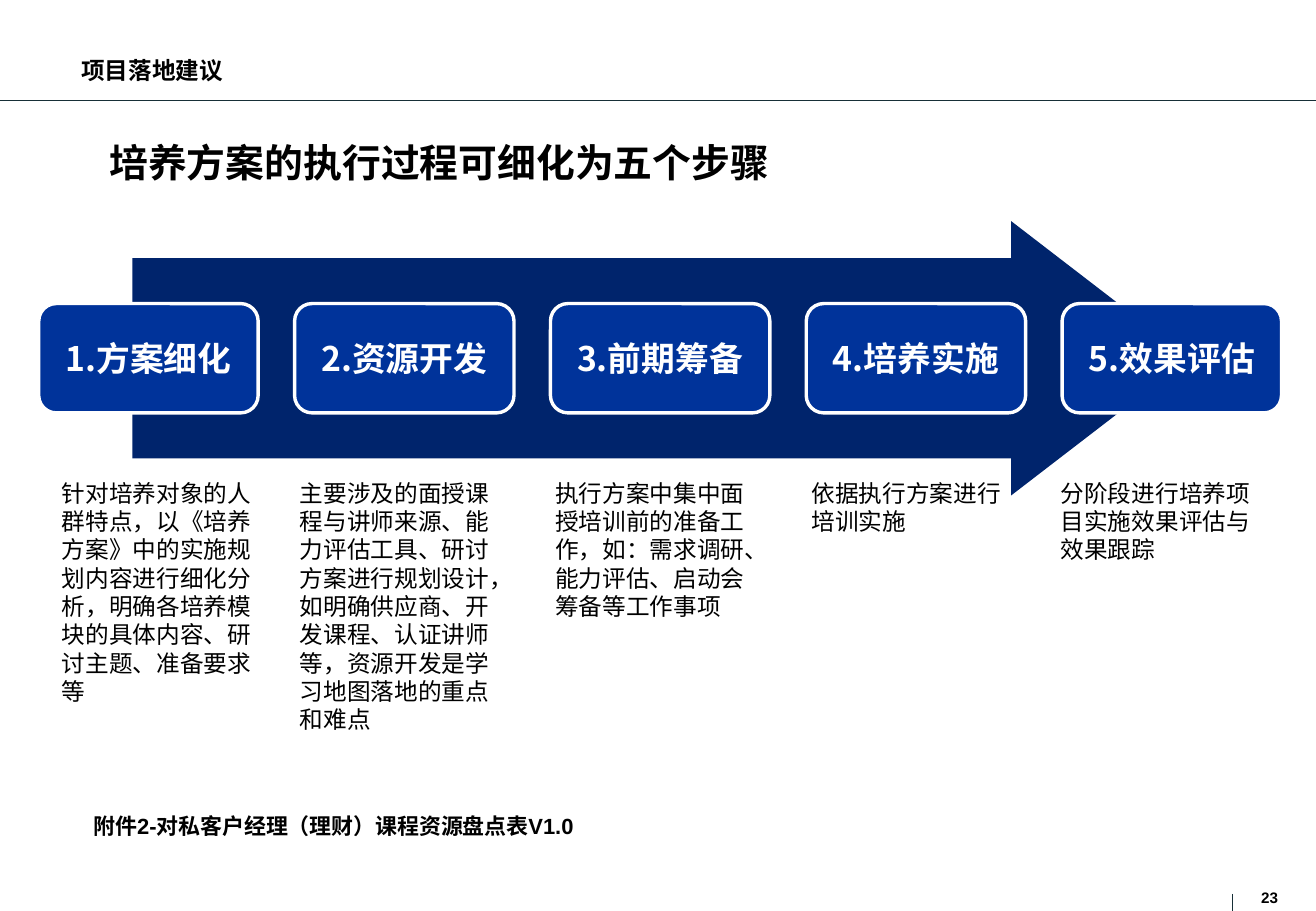
from dataclasses import dataclass

from lxml.etree import SubElement
from pptx import Presentation
from pptx.dml.color import RGBColor
from pptx.enum.shapes import MSO_CONNECTOR as Connector, MSO_SHAPE as Preset
from pptx.enum.text import MSO_ANCHOR as Anchor, PP_ALIGN as Align
from pptx.oxml.ns import qn
from pptx.slide import Slide
from pptx.util import Inches, Pt

SLIDE_WIDTH = Inches(10.83)
SLIDE_HEIGHT = Inches(7.5)
CJK_FONT = "Noto Sans CJK SC"
BLACK, WHITE = "000000", "FFFFFF"
NAVY, BLUE, RULE_COLOR = "00246C", "00339A", "172F37"

STEP_LEFT, STEP_TOP = 2.95, 33.33
STEP_PITCH, STEP_WIDTH, STEP_HEIGHT = 19.44, 16.67, 12
DETAIL_TOP, DETAIL_WIDTH = 51.87, 17.73
DETAIL_LINE, DETAIL_PADDING = 3.13, 1.33


@dataclass(frozen=True)
class Area:
    """Left, top, width and height in percent of the slide."""

    left: float
    top: float
    width: float
    height: float

    def lengths(self) -> tuple[int, int, int, int]:
        return across(self.left), down(self.top), across(self.width), down(self.height)


@dataclass(frozen=True)
class Style:
    size: float
    color: str = BLACK
    bold: bool = True
    latin: str = CJK_FONT


@dataclass(frozen=True)
class Label:
    text: str
    area: Area
    style: Style
    anchor: Anchor = Anchor.TOP
    margins: tuple[float, float] = (0.1, 0.05)


@dataclass(frozen=True)
class Step:
    title: str
    detail: str
    detail_left: float
    detail_lines: int


@dataclass(frozen=True)
class Rule:
    start: tuple[float, float]
    end: tuple[float, float]


STEP_STYLE = Style(20, WHITE)
DETAIL_STYLE = Style(14, bold=False)

RULES = [
    Rule((0, 11.07), (100, 11.07)),
    Rule((93.63, 98.13), (93.63, 100)),
]

LABELS = [
    Label("23", Area(95.84, 97.47, 1.57, 1.87), Style(9, latin="Arial"), margins=(0, 0)),
    Label("培养方案的执行过程可细化为五个步骤", Area(7.39, 14.53, 86.24, 9.6), Style(23)),
    Label("项目落地建议", Area(5.26, 5.6, 25.3, 4.27), Style(14), Anchor.MIDDLE),
    Label("附件2-对私客户经理（理财）课程资源盘点表V1.0",
          Area(6.19, 88.53, 38.8, 4.27), Style(13, latin="Arial")),
]

STEPS = [
    Step("1.方案细化",
         "针对培养对象的人群特点，以《培养方案》中的实施规划内容进行细化分析，"
         "明确各培养模块的具体内容、研讨主题、准备要求等", 3.79, 8),
    Step("2.资源开发",
         "主要涉及的面授课程与讲师来源、能力评估工具、研讨方案进行规划设计，"
         "如明确供应商、开发课程、认证讲师等，资源开发是学习地图落地的重点和难点", 21.88, 9),
    Step("3.前期筹备",
         "执行方案中集中面授培训前的准备工作，如：需求调研、能力评估、"
         "启动会筹备等工作事项", 41.27, 5),
    Step("4.培养实施", "依据执行方案进行培训实施", 60.76, 2),
    Step("5.效果评估", "分阶段进行培养项目实施效果评估与效果跟踪", 79.69, 3),
]


def across(percent: float) -> int:
    return round(SLIDE_WIDTH * percent / 100)


def down(percent: float) -> int:
    return round(SLIDE_HEIGHT * percent / 100)


def rgb(color: str) -> RGBColor:
    return RGBColor.from_string(color)


def write(shape, text: str, style: Style, align: Align = Align.LEFT,
          anchor: Anchor = Anchor.TOP, margins: tuple[float, float] = (0.1, 0.05)) -> None:
    frame = shape.text_frame
    frame.text = text
    frame.word_wrap = True
    frame.vertical_anchor = anchor
    frame.margin_left = frame.margin_right = Inches(margins[0])
    frame.margin_top = frame.margin_bottom = Inches(margins[1])
    paragraph = frame.paragraphs[0]
    paragraph.alignment = align
    paragraph.line_spacing = Pt(style.size * 1.2)
    for run in paragraph.runs:
        run.font.size = Pt(style.size)
        run.font.bold = style.bold
        run.font.color.rgb = rgb(style.color)
        run.font.name = style.latin
        SubElement(run.font._element, qn("a:ea"), typeface=CJK_FONT)


def add_label(slide: Slide, label: Label) -> None:
    box = slide.shapes.add_textbox(*label.area.lengths())
    write(box, label.text, label.style, anchor=label.anchor, margins=label.margins)


def add_rule(slide: Slide, rule: Rule) -> None:
    (left, top), (right, bottom) = rule.start, rule.end
    connector = slide.shapes.add_connector(
        Connector.STRAIGHT, across(left), down(top), across(right), down(bottom))
    connector.line.color.rgb = rgb(RULE_COLOR)
    connector.line.width = Pt(0.75)
    SubElement(connector._element.spPr, qn("a:effectLst"))


def add_preset(slide: Slide, preset: Preset, area: Area, fill: str, *adjustments: float):
    shape = slide.shapes.add_shape(preset, *area.lengths())
    shape.shadow.inherit = False
    shape.fill.solid()
    shape.fill.fore_color.rgb = rgb(fill)
    shape.line.fill.background()
    for index, value in enumerate(adjustments):
        shape.adjustments[index] = value
    return shape


def add_step(slide: Slide, column: int, step: Step) -> None:
    area = Area(STEP_LEFT + column * STEP_PITCH, STEP_TOP, STEP_WIDTH, STEP_HEIGHT)
    card = add_preset(slide, Preset.ROUNDED_RECTANGLE, area, BLUE, 0.16)
    card.line.color.rgb = rgb(WHITE)
    card.line.width = Pt(2)
    write(card, step.title, STEP_STYLE, Align.CENTER, Anchor.MIDDLE, (0.1, 0.1))
    height = DETAIL_PADDING + step.detail_lines * DETAIL_LINE
    detail_area = Area(step.detail_left, DETAIL_TOP, DETAIL_WIDTH, height)
    add_label(slide, Label(step.detail, detail_area, DETAIL_STYLE))


def main() -> None:
    presentation = Presentation()
    presentation.slide_width = SLIDE_WIDTH
    presentation.slide_height = SLIDE_HEIGHT
    slide = presentation.slides.add_slide(presentation.slide_layouts[6])
    for rule in RULES:
        add_rule(slide, rule)
    add_preset(slide, Preset.RIGHT_ARROW, Area(10.06, 24.27, 80.33, 30.13), NAVY, 0.73, 0.65)
    for column, step in enumerate(STEPS):
        add_step(slide, column, step)
    for label in LABELS:
        add_label(slide, label)
    presentation.save("out.pptx")


if __name__ == "__main__":
    main()
